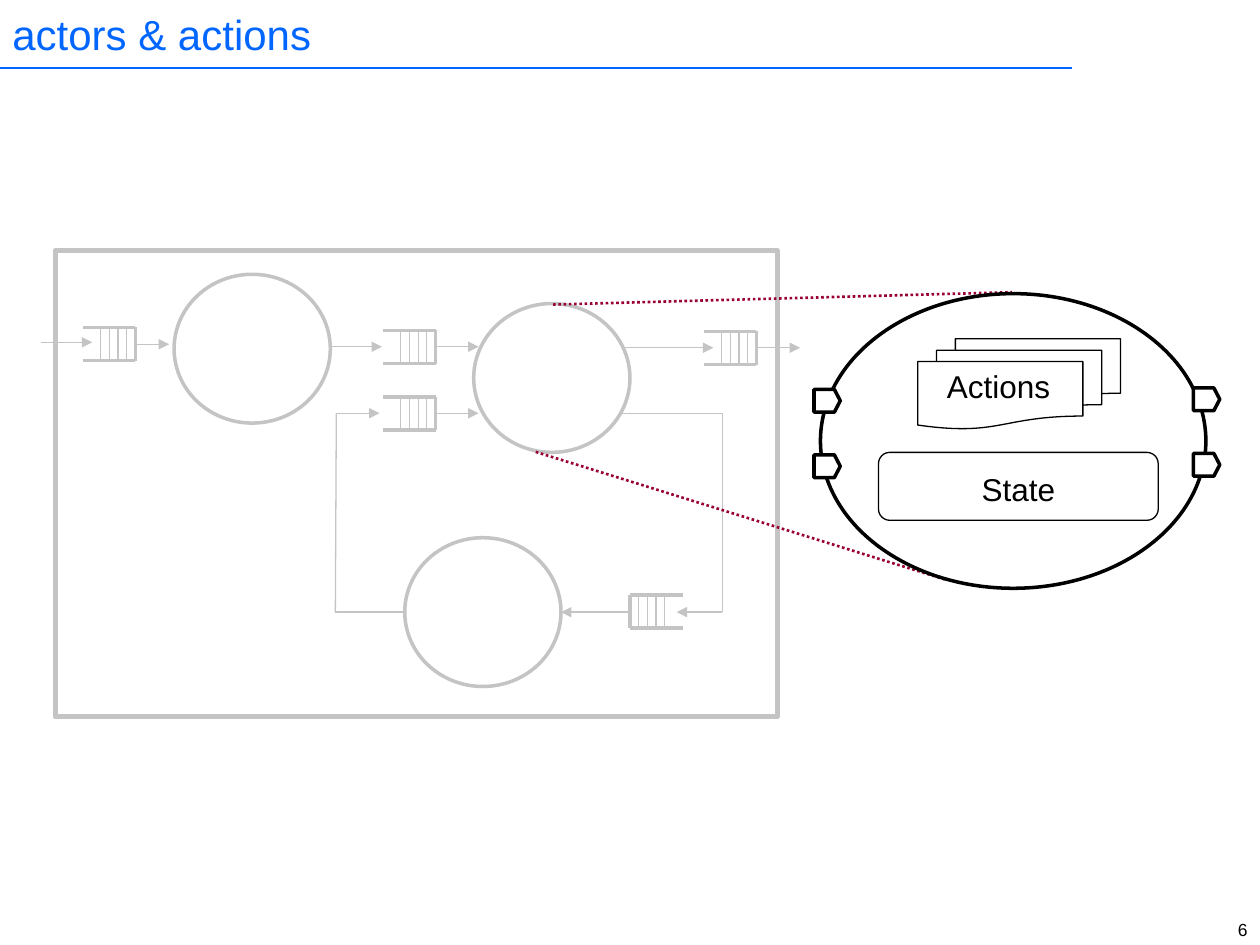
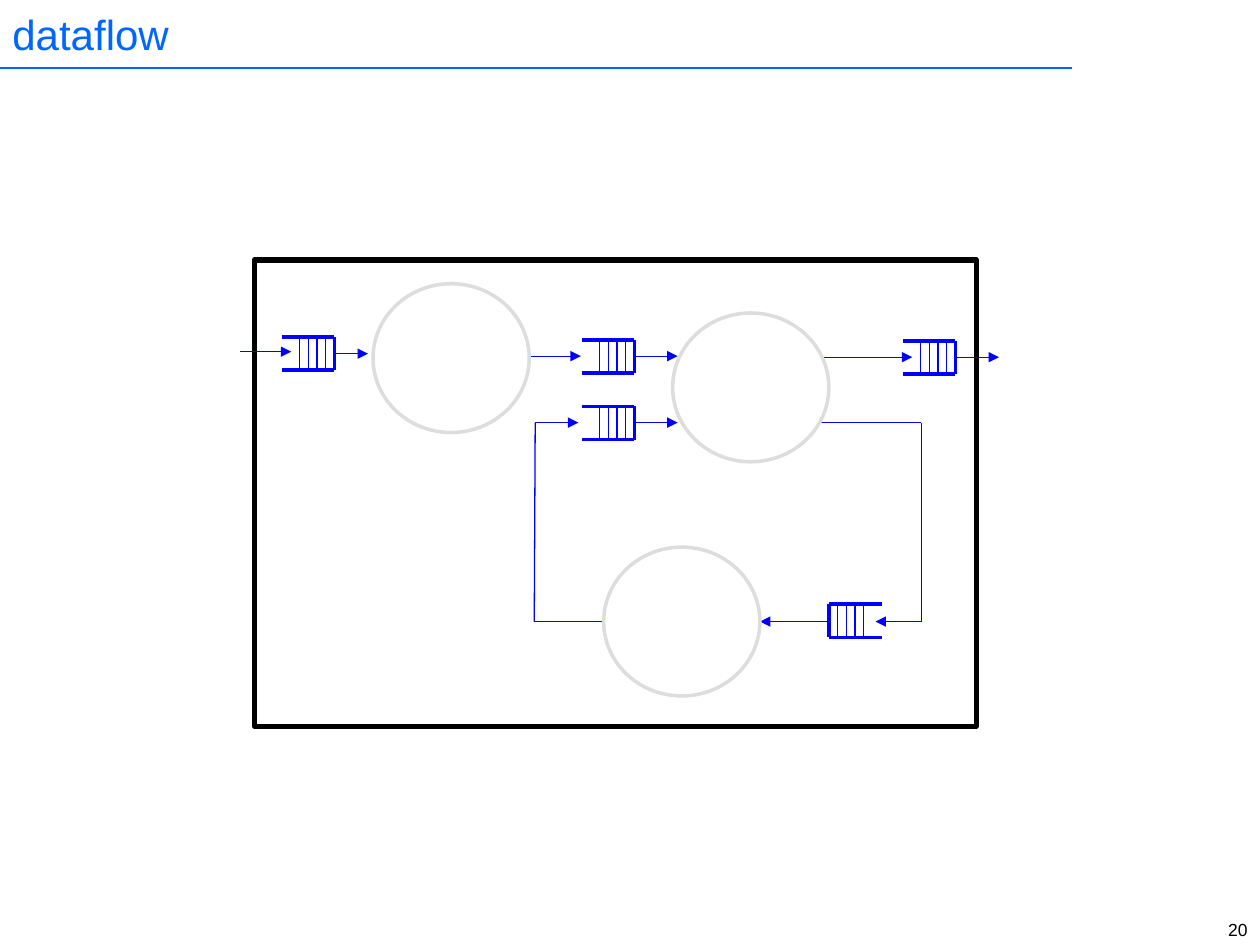
import lxml.etree
import pptx
import pptx.dml.color
import pptx.enum.dml
import pptx.enum.shapes
import pptx.enum.text
import pptx.oxml.ns
import pptx.util

Cm = pptx.util.Cm
Pt = pptx.util.Pt
qn = pptx.oxml.ns.qn
MSO = pptx.enum.shapes.MSO_SHAPE
ALIGN = pptx.enum.text.PP_ALIGN
ANCHOR = pptx.enum.text.MSO_ANCHOR
DOTTED = pptx.enum.dml.MSO_LINE.ROUND_DOT

BLACK, WHITE, BLUE = "000000", "FFFFFF", "0000FF"
TITLE_BLUE, PALE, WINE = "0066FF", "DDDDDD", "990033"
THIN, THICK, FRAME = 0.75, 2, 3

FRAME_W, FRAME_H = 14.55, 9.4
QUEUE_W, QUEUE_H, QUEUE_STEP = 1.06, 0.67, 0.175
CIRCLE_W, CIRCLE_H = 3.15, 3.0
CIRCLES = [(8.43, 1.07), (7.04, 5.79), (2.39, 0.48)]
QUEUES = [(0.55, 1.55, False), (6.6, 2.95, False), (6.6, 1.61, False),
          (13.07, 1.63, False), (11.58, 6.94, True)]
ROUTES = [
    [(-0.3, 1.85), (0.74, 1.85)],
    [(1.6, 1.89), (2.29, 1.89)],
    [(5.51, 1.94), (6.58, 1.94)],
    [(7.67, 1.94), (8.53, 1.94)],
    [(11.43, 1.96), (13.26, 1.96)],
    [(14.12, 1.96), (15.01, 1.96)],
    [(7.67, 3.28), (8.53, 3.28)],
    [(11.56, 7.29), (10.19, 7.29)],
    [(7.06, 7.29), (5.64, 7.29), (5.66, 3.28), (6.53, 3.28)],
    [(11.4, 3.28), (13.44, 3.28), (13.44, 7.29), (12.52, 7.29)],
]


def rgb(value):
    return pptx.dml.color.RGBColor.from_string(value)


def set_attrs(obj, values):
    for name, value in values.items():
        setattr(obj, name, value)


def paint(sp, fill=None, line=None, width=THIN):
    sp.shadow.inherit = False
    if fill:
        sp.fill.solid()
        sp.fill.fore_color.rgb = rgb(fill)
    else:
        sp.fill.background()
    if line:
        sp.line.color.rgb = rgb(line)
        sp.line.width = Pt(width)
    else:
        sp.line.fill.background()
    return sp


def add_box(shapes, kind, x, y, w, h, **style):
    return paint(shapes.add_shape(kind, Cm(x), Cm(y), Cm(w), Cm(h)), **style)


def add_line(shapes, start, end, color, width=THIN, arrow=False, dash=None):
    straight = pptx.enum.shapes.MSO_CONNECTOR.STRAIGHT
    cxn = shapes.add_connector(straight, *(Cm(v) for v in (*start, *end)))
    cxn.line.color.rgb = rgb(color)
    set_attrs(cxn.line, {"width": Pt(width), "dash_style": dash})
    spPr = cxn._element.spPr
    if arrow:
        lxml.etree.SubElement(spPr.find(qn("a:ln")), qn("a:tailEnd"), type="triangle")
    lxml.etree.SubElement(spPr, qn("a:effectLst"))


def write(tf, text, size, color=BLACK, align=ALIGN.LEFT, anchor=ANCHOR.TOP):
    set_attrs(tf, {
        "word_wrap": True, "vertical_anchor": anchor,
        "auto_size": pptx.enum.text.MSO_AUTO_SIZE.NONE,
        "margin_left": Cm(0.25), "margin_right": Cm(0.25),
        "margin_top": Cm(0.13), "margin_bottom": Cm(0.13),
    })
    p = tf.paragraphs[0]
    p.alignment = align
    r = p.add_run()
    r.text = text
    set_attrs(r.font, {"name": "Arial", "size": Pt(size), "bold": False})
    r.font.color.rgb = rgb(color)


def add_text(shapes, x, y, w, h, text, size, align):
    sp = shapes.add_textbox(Cm(x), Cm(y), Cm(w), Cm(h))
    write(sp.text_frame, text, size, align=align)


def add_titled_slide(prs, title, number):
    s = prs.slides.add_slide(prs.slide_layouts[5])
    add_line(s.shapes, (0, 1.37), (21.62, 1.37), TITLE_BLUE, 1)
    sp = s.shapes.title
    set_attrs(sp, {"left": 0, "top": 0, "width": Cm(21.97), "height": Cm(1.35)})
    write(sp.text_frame, title, 24, TITLE_BLUE, anchor=ANCHOR.MIDDLE)
    add_text(s.shapes, 23.04, 18.39, 2.36, 0.58, str(number), 10, ALIGN.RIGHT)
    return s


def add_queue(shapes, x, y, mirrored, color):
    closed, opened, step = x + QUEUE_W, x, -QUEUE_STEP
    if mirrored:
        closed, opened, step = x, x + QUEUE_W, QUEUE_STEP
    for edge in (y, y + QUEUE_H):
        add_line(shapes, (opened, edge), (closed, edge), color, THICK)
    for i in range(5):
        slot = closed + i * step
        add_line(shapes, (slot, y), (slot, y + QUEUE_H), color, THIN if i else THICK)


def add_network(s, x, y, flow_color, circle_color):
    shapes = s.shapes.add_group_shape().shapes
    add_box(shapes, MSO.RECTANGLE, x, y, FRAME_W, FRAME_H,
            fill=WHITE, line=BLACK, width=FRAME)
    for dx, dy, mirrored in QUEUES:
        add_queue(shapes, x + dx, y + dy, mirrored, flow_color)
    for route in ROUTES:
        points = [(x + dx, y + dy) for dx, dy in route]
        for start, end in zip(points, points[1:]):
            add_line(shapes, start, end, flow_color, arrow=end == points[-1])
    for dx, dy in CIRCLES:
        add_box(shapes, MSO.OVAL, x + dx, y + dy, CIRCLE_W, CIRCLE_H,
                line=circle_color, width=THICK)


def add_veil(s, x, y):
    sp = add_box(s.shapes, MSO.RECTANGLE, x - 0.58, y - 0.74, 15.7, 11.1, fill=WHITE)
    clr = sp._element.spPr.find(qn("a:solidFill")).find(qn("a:srgbClr"))
    lxml.etree.SubElement(clr, qn("a:alpha"), val="77000")


def add_port(shapes, x, y):
    w, h, shoulder = 0.53, 0.46, 0.41
    fb = shapes.build_freeform(Cm(x), Cm(y))
    outline = [(shoulder, 0), (w, h / 2), (shoulder, h), (0, h)]
    fb.add_line_segments([(Cm(x + dx), Cm(y + dy)) for dx, dy in outline], close=True)
    paint(fb.convert_to_shape(), fill=WHITE, line=BLACK, width=THICK)


def add_actor_detail(s, x, y):
    shapes = s.shapes.add_group_shape().shapes
    add_box(shapes, MSO.OVAL, x, y, 7.77, 5.94, line=BLACK, width=THICK)
    for i in range(3):
        add_box(shapes, MSO.FLOWCHART_DOCUMENT, x + 2.72 - 0.38 * i, y + 0.91 + 0.23 * i,
                3.33, 1.37, fill=WHITE, line=BLACK)
    add_text(shapes, x + 2.13, y + 1.35, 2.92, 1.02, "Actions", 18, ALIGN.CENTER)
    add_box(shapes, MSO.FLOWCHART_ALTERNATE_PROCESS, x + 1.17, y + 3.2, 5.64, 1.37,
            line=BLACK)
    add_text(shapes, x + 1.17, y + 3.43, 5.64, 1.02, "State", 18, ALIGN.CENTER)
    for dx, dy in [(7.52, 1.9), (-0.13, 1.93)]:
        for row in range(2):
            add_port(shapes, x + dx, y + dy + 1.32 * row)


def add_zoom_lines(s, x, y, detail_x, detail_y):
    shapes = s.shapes.add_group_shape().shapes
    for (dx, dy), (ex, ey) in [((10.03, 1.09), (3.86, -0.03)),
                               ((9.68, 4.06), (2.54, 5.77))]:
        add_line(shapes, (x + dx, y + dy), (detail_x + ex, detail_y + ey),
                 WINE, 1.5, dash=DOTTED)


def build_actors_slide(prs):
    s = add_titled_slide(prs, "actors & actions", 6)
    network, detail = (1.12, 5.05), (16.54, 5.92)
    add_network(s, *network, BLACK, BLACK)
    add_veil(s, *network)
    add_zoom_lines(s, *network, *detail)
    add_actor_detail(s, *detail)


def build_dataflow_slide(prs):
    s = add_titled_slide(prs, "dataflow", 20)
    add_network(s, 5.13, 5.24, BLUE, PALE)


def main():
    prs = pptx.Presentation()
    set_attrs(prs, {"slide_width": Cm(25.4), "slide_height": Cm(19.05)})
    build_actors_slide(prs)
    build_dataflow_slide(prs)
    prs.save("out.pptx")


if __name__ == "__main__":
    main()
